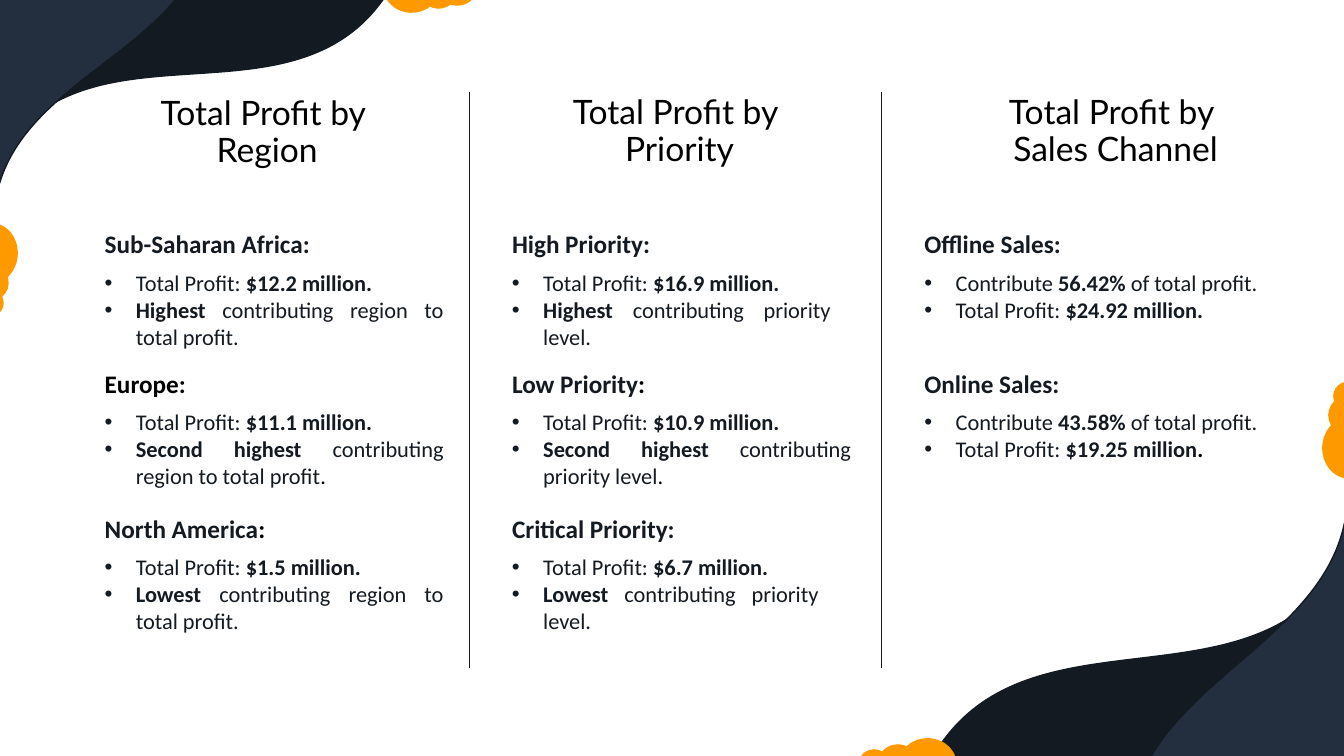
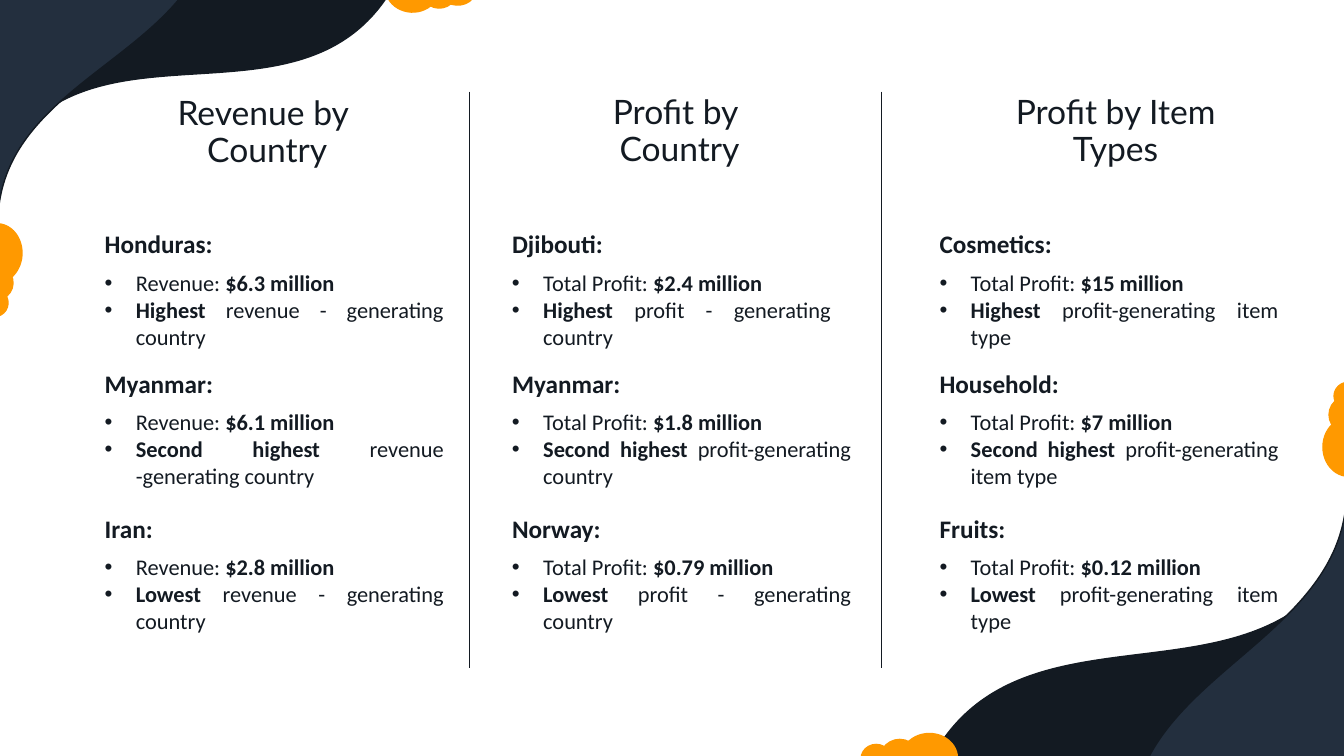
from dataclasses import dataclass

from lxml.etree import SubElement as Sub
from pptx import Presentation
from pptx.dml.color import RGBColor as Rgb
from pptx.enum.shapes import MSO_CONNECTOR as Conn, MSO_SHAPE as Shape
from pptx.enum.text import MSO_ANCHOR as Anchor, MSO_AUTO_SIZE as Fit, PP_ALIGN as Align
from pptx.oxml.ns import qn
from pptx.util import Inches, Pt


@dataclass(frozen=True)
class Theme:
    ink: str = "131A22"
    navy: str = "232F3E"
    gold: str = "FF9900"
    black: str = "000000"
    sans: str = "Calibri"
    title: str = "Lato"
    big: int = 24
    mid: int = 18
    small: int = 16


T = Theme()
SIZE = (13.33, 7.5)
TITLES = [(1.33, 0.98, 2.64, 0.75), (5.42, 0.91, 2.64, 0.81), (9.81, 0.97, 2.51, 0.75)]
RULES = [4.66, 8.74]
ROWS = [2.22, 3.6, 5.04]
WIDTH = 3.56
INDENT = 0.31

TOP = ((5, 3), [
    (Shape.WAVE, T.ink, -0.54, -1.27, 4.22, 2.37, 336.9),
    (Shape.WAVE, T.navy, -1.73, -1, 4.01, 2.34, 302.4),
    (Shape.OVAL, T.gold, 3.81, -0.36, 0.54, 0.48, 3.2),
    (Shape.OVAL, T.gold, 4.17, -0.27, 0.36, 0.35, 3.2),
    (Shape.OVAL, T.gold, 4.35, -0.24, 0.36, 0.29, 3.2),
    (Shape.OVAL, T.gold, -0.34, 2.22, 0.51, 0.59, 3.2),
    (Shape.OVAL, T.gold, -0.28, 2.63, 0.36, 0.35, 3.2),
    (Shape.OVAL, T.gold, -0.24, 2.87, 0.27, 0.27, 3.2),
])
BASE = ((5, 4), [
    (Shape.OVAL, T.gold, 4.71, 0, 0.3, 0.28, 0),
    (Shape.WAVE, T.ink, 0.9, 2.32, 4.6, 2.58, 333.8),
    (Shape.WAVE, T.navy, 2.41, 1.98, 4.38, 2.55, 299.2),
    (Shape.OVAL, T.gold, 4.6, 0.36, 0.51, 0.59, 0),
    (Shape.OVAL, T.gold, 4.66, 0.14, 0.39, 0.38, 0),
    (Shape.OVAL, T.gold, 0, 3.65, 0.3, 0.29, 0),
    (Shape.OVAL, T.gold, 0.19, 3.6, 0.39, 0.38, 0),
    (Shape.OVAL, T.gold, 0.4, 3.54, 0.56, 0.5, 0),
])

PROFIT = [
    (0.94, "Total Profit by \vRegion", [
        ("Sub-Saharan Africa:", "Total Profit: *$12.2 million.*",
         "*Highest* contributing region to total profit.", 0),
        ("~Europe:", "Total Profit: *$11.1 million.*",
         "*Second highest *contributing region to total profit~.", 0),
        ("North America~:", "Total Profit: *$1.5 million.*",
         "*Lowest* contributing region to total profit.", 0),
    ]),
    (4.98, "Total Profit by \vPriority", [
        ("High Priority:", "Total Profit: *$16.9 million.*",
         "*Highest* contributing priority level.", 0.2),
        ("Low Priority~:", "Total Profit: *$10.9 million.*",
         "*Second highest *contributing priority level~.", 0),
        ("Critical Priority:", "Total Profit: *$6.7 million.*",
         "*Lowest* contributing priority level.", 0.32),
    ]),
    (9.07, "Total Profit by \vSales Channel", [
        ("Offline Sales:", "Contribute *56.42% *of total profit.",
         "Total Profit: *$24.92 million.*", 0),
        ("Online Sales:", "Contribute *43.58% *of total profit.",
         "Total Profit: *$19.25 million~.*", 0),
    ]),
]
PLACES = [
    (0.94, "Revenue by \vCountry", [
        ("Honduras:", "Revenue: *$6.3 million*", "*Highest* revenue - generating country", 0),
        ("Myanmar:", "Revenue: *$6.1 million*",
         "*Second highest *revenue -generating country", 0),
        ("Iran:", "Revenue: *$2.8 million*", "*Lowest* revenue - generating country", 0),
    ]),
    (4.98, "Profit by \vCountry", [
        ("Djibouti:", "Total Profit: *$2.4 million*",
         "*Highest* profit - generating country", 0.2),
        ("Myanmar:", "Total Profit: *$1.8 million*",
         "*Second highest* profit-generating country", 0),
        ("Norway:", "Total Profit: *$0.79 million*",
         "*Lowest* profit - generating country", 0),
    ]),
    (9.22, "Profit by Item Types", [
        ("Cosmetics:", "Total Profit: *$15 million*",
         "*Highest* profit-generating item type", 0),
        ("Household:", "Total Profit: *$7 million*",
         "*Second highest* profit-generating item type", 0),
        ("Fruits:", "Total Profit: *$0.12 million*",
         "*Lowest* profit-generating item type", 0),
    ]),
]


def put(item, form):
    for key, val in form.items():
        setattr(item, key, val)


def style(run, name, size, color, bold=False):
    put(run.font, {"name": name, "size": Pt(size), "bold": bold})
    run.font.color.rgb = Rgb.from_string(color)


def text_box(slide, box, form):
    frame = slide.shapes.add_textbox(*map(Inches, box)).text_frame
    put(frame, {"word_wrap": True} | form)
    return frame


def write(para, text, size, bold=False):
    for part in text.split("*"):
        main, _, end = part.partition("~")
        for word, color in ((main, T.ink), (end, T.black)):
            if word:
                run = para.add_run()
                run.text = word
                style(run, T.sans, size, color, bold)
        bold = not bold


def bullet(para):
    para.alignment = Align.JUSTIFY
    props = para._p.get_or_add_pPr()
    props.set("marL", str(Inches(INDENT)))
    props.set("indent", str(-Inches(INDENT)))
    Sub(props, qn("a:buFont")).set("typeface", "Arial")
    Sub(props, qn("a:buChar")).set("char", "•")


def heading(slide, box, text, color):
    frame = text_box(slide, box, {"vertical_anchor": Anchor.BOTTOM})
    para = frame.paragraphs[0]
    put(para, {"text": text, "alignment": Align.CENTER, "line_spacing": 0.9})
    for run in para.runs:
        style(run, T.title, T.big, color)


def section(slide, box, head, lines, trim):
    left, top, width = box
    grow = {"auto_size": Fit.SHAPE_TO_FIT_TEXT}
    frame = text_box(slide, (left, top, 2.41, 0.4), grow)
    write(frame.paragraphs[0], head, T.mid, True)
    form = grow | {"margin_right": Inches(0.1 + trim)}
    frame = text_box(slide, (left, top + 0.4, width, 0.91), form)
    for num, line in enumerate(lines):
        para = frame.add_paragraph() if num else frame.paragraphs[0]
        bullet(para)
        write(para, line, T.small)


def rule(slide, left, top, end):
    line = slide.shapes.add_connector(Conn.STRAIGHT, *map(Inches, (left, top, left, end)))
    line.line.color.rgb = Rgb.from_string(T.ink)
    line.line.width = Pt(0.5)
    Sub(line._element.spPr, qn("a:effectLst"))


def corner(slide, box, art):
    left, top, wide, high = box
    (base, tall), parts = art
    across, down = wide / base, high / tall
    for kind, color, x, y, w, h, turn in parts:
        mid_x, mid_y = left + (x + w / 2) * across, top + (y + h / 2) * down
        steep = 45 <= turn % 180 < 135
        w, h = (w * down, h * across) if steep else (w * across, h * down)
        area = (mid_x - w / 2, mid_y - h / 2, w, h)
        shape = slide.shapes.add_shape(kind, *map(Inches, area))
        shape.rotation = turn
        shape.shadow.inherit = False
        shape.fill.solid()
        shape.fill.fore_color.rgb = Rgb.from_string(color)
        edge = T.gold if kind == Shape.OVAL else T.ink
        shape.line.color.rgb = Rgb.from_string(edge)
        shape.line.width = Pt(1)


def report(deck, data, color, top, base):
    slide = deck.slides.add_slide(deck.slide_layouts[6])
    for left in RULES:
        rule(slide, left, 0.91, 6.63)
    for box, (left, title, items) in zip(TITLES, data):
        heading(slide, box, title, color)
        for row, (head, first, second, trim) in zip(ROWS, items):
            section(slide, (left, row, WIDTH), head, (first, second), trim)
    corner(slide, top, TOP)
    corner(slide, base, BASE)


def main():
    deck = Presentation()
    put(deck, dict(zip(("slide_width", "slide_height"), map(Inches, SIZE))))
    report(deck, PROFIT, T.black, (0, 0, 5, 3), (8.52, 3.79, 5, 4))
    report(deck, PLACES, T.ink, (0.05, 0, 4.95, 3), (8.54, 3.79, 4.98, 3.94))
    deck.save("out.pptx")


if __name__ == "__main__":
    main()
